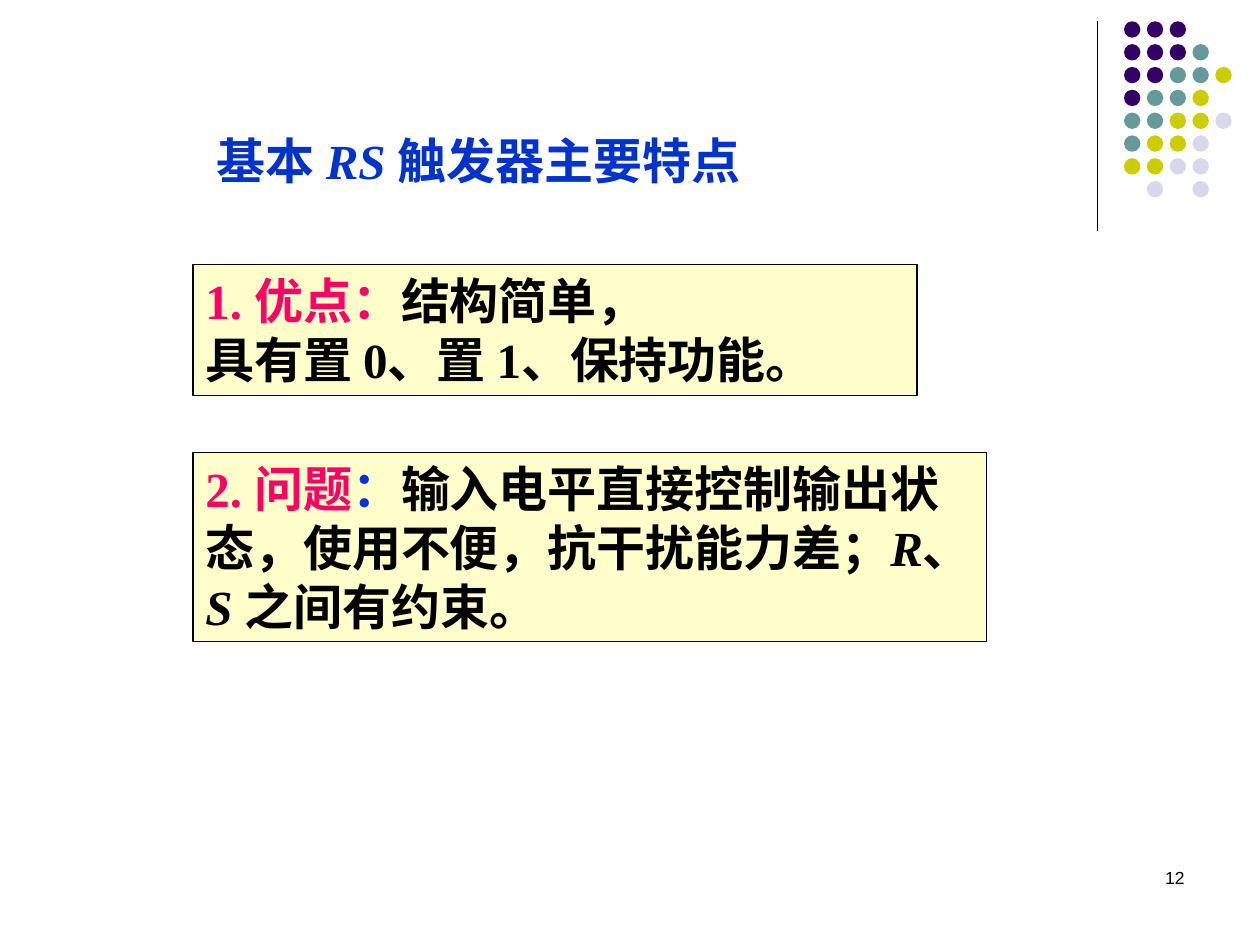
from dataclasses import dataclass

from lxml import etree
from pptx import Presentation
from pptx.dml.color import RGBColor
from pptx.enum.shapes import MSO_CONNECTOR, MSO_SHAPE
from pptx.enum.text import MSO_ANCHOR, PP_ALIGN
from pptx.oxml.ns import qn
from pptx.util import Cm, Pt

OVAL, RECT = MSO_SHAPE.OVAL, MSO_SHAPE.RECTANGLE
LINE = MSO_CONNECTOR.STRAIGHT
TOP = MSO_ANCHOR.TOP
LEFT, CENTER, RIGHT = PP_ALIGN.LEFT, PP_ALIGN.CENTER, PP_ALIGN.RIGHT

BLACK = RGBColor(0x00, 0x00, 0x00)
BLUE = RGBColor(0x00, 0x33, 0xCC)
PINK = RGBColor(0xFF, 0x00, 0x66)
CREAM = RGBColor(0xFF, 0xFF, 0xCC)
TINTS = {
    "P": RGBColor(0x33, 0x00, 0x66),
    "T": RGBColor(0x66, 0x99, 0x99),
    "Y": RGBColor(0xCC, 0xCC, 0x00),
    "L": RGBColor(0xD8, 0xD8, 0xEC),
}

DOTS = ["PPP", "PPPT", "PPTTY", "PTTY", "TTYYL", "TYYL", "YYLL", " L L"]
DOT_X, DOT_Y, PITCH, SIZE = 22.66, 0.43, 0.46, 0.33

HEAD = {"name": "Times New Roman", "size": Pt(28), "bold": True}
SMALL = {"name": "Arial", "size": Pt(10), "bold": False}


@dataclass
class Part:
    text: str
    color: RGBColor = BLACK
    italic: bool = False


@dataclass
class Panel:
    top: float
    width: float
    height: float
    lines: list[list[Part]]


TITLE = [[Part("基本 ", BLUE), Part("RS ", BLUE, True), Part("触发器主要特点", BLUE)]]

PANELS = [
    Panel(5.33, 14.6, 2.64, [
        [Part("1. 优点：", PINK), Part("结构简单，")],
        [Part("具有置 0、置 1、保持功能。")],
    ]),
    Panel(9.12, 16, 3.81, [
        [
            Part("2. 问题", PINK),
            Part("：", BLUE),
            Part("输入电平直接控制输出状态，使用不便，抗干扰能力差；"),
            Part("R", italic=True),
            Part("、"),
            Part("S ", italic=True),
            Part("之间有约束。"),
        ],
    ]),
]


def write(shape, lines: list[list[Part]], style: dict, align) -> None:
    frame = shape.text_frame
    frame.word_wrap = True
    frame.vertical_anchor = TOP
    for i, line in enumerate(lines):
        para = frame.add_paragraph() if i else frame.paragraphs[0]
        para.alignment = align
        for part in line:
            run = para.add_run()
            run.text = part.text
            for key, value in style.items():
                setattr(run.font, key, value)
            run.font.italic = part.italic
            run.font.color.rgb = part.color


def draw_rule(slide) -> None:
    rule = slide.shapes.add_connector(LINE, Cm(22.12), Cm(0.43), Cm(22.12), Cm(4.65))
    rule.line.color.rgb = BLACK
    rule.line.width = Pt(0.75)
    etree.SubElement(rule._element.spPr, qn("a:effectLst"))


def draw_dots(slide) -> None:
    group = slide.shapes.add_group_shape()
    for row, tints in enumerate(DOTS):
        for col, tint in enumerate(tints):
            if tint not in TINTS:
                continue
            dot = group.shapes.add_shape(
                OVAL, Cm(DOT_X + col * PITCH), Cm(DOT_Y + row * PITCH),
                Cm(SIZE), Cm(SIZE))
            dot.shadow.inherit = False
            dot.fill.solid()
            dot.fill.fore_color.rgb = TINTS[tint]
            dot.line.fill.background()


def draw_title(slide) -> None:
    title = slide.shapes.title
    title.left, title.top = Cm(3.3), Cm(2.51)
    title.width, title.height = Cm(12.7), Cm(1.45)
    write(title, TITLE, HEAD, CENTER)


def draw_panel(slide, panel: Panel) -> None:
    box = slide.shapes.add_shape(
        RECT, Cm(3.89), Cm(panel.top), Cm(panel.width), Cm(panel.height))
    box.shadow.inherit = False
    box.fill.solid()
    box.fill.fore_color.rgb = CREAM
    box.line.color.rgb = BLACK
    box.line.width = Pt(0.75)
    write(box, panel.lines, HEAD, LEFT)


def draw_page(slide) -> None:
    page = slide.shapes.add_textbox(Cm(18.21), Cm(17.35), Cm(5.92), Cm(1.27))
    write(page, [[Part("12")]], SMALL, RIGHT)


def main() -> None:
    deck = Presentation()
    deck.slide_width, deck.slide_height = Cm(25.4), Cm(19.05)
    slide = deck.slides.add_slide(deck.slide_layouts[5])
    draw_rule(slide)
    draw_dots(slide)
    draw_page(slide)
    draw_title(slide)
    for panel in PANELS:
        draw_panel(slide, panel)
    deck.save("out.pptx")


if __name__ == "__main__":
    main()
